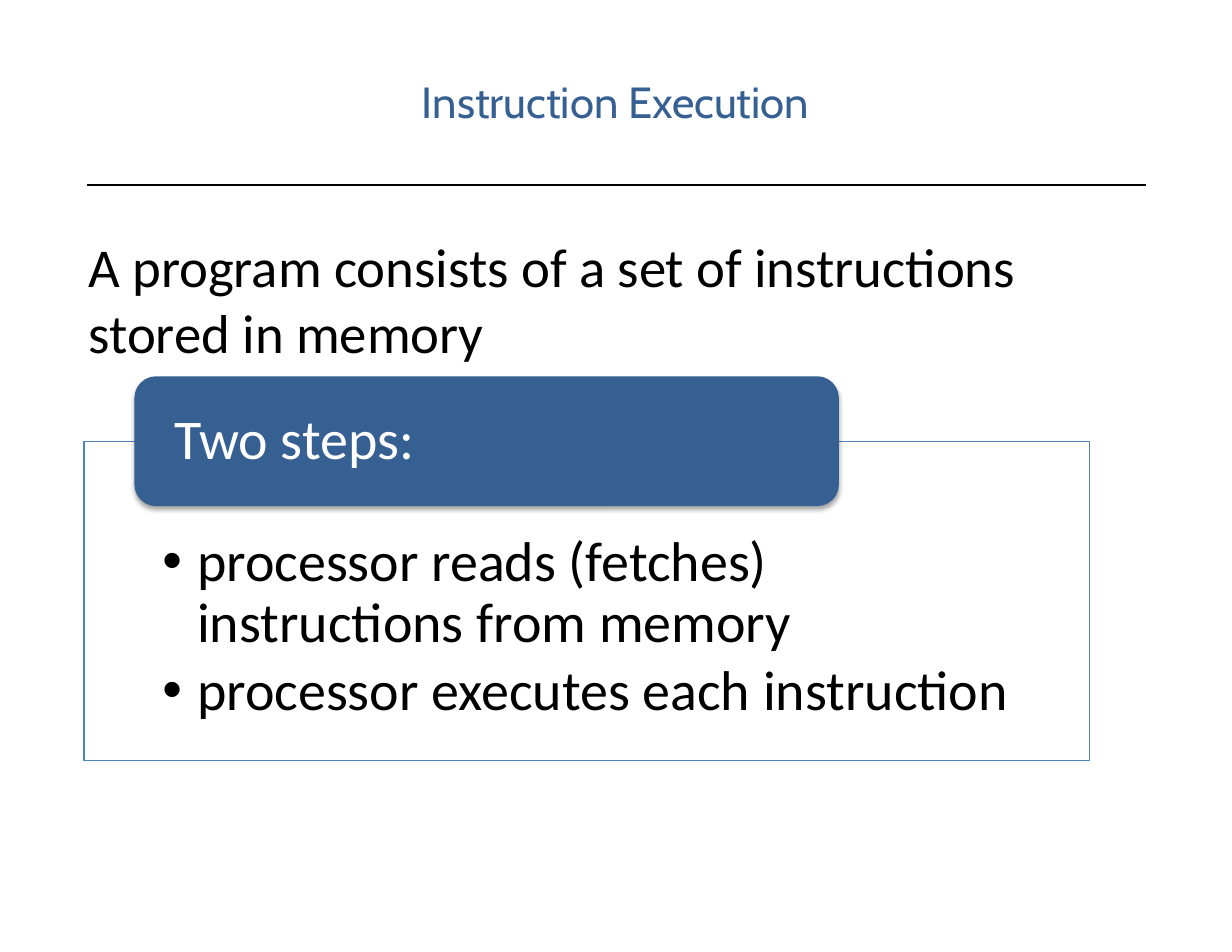
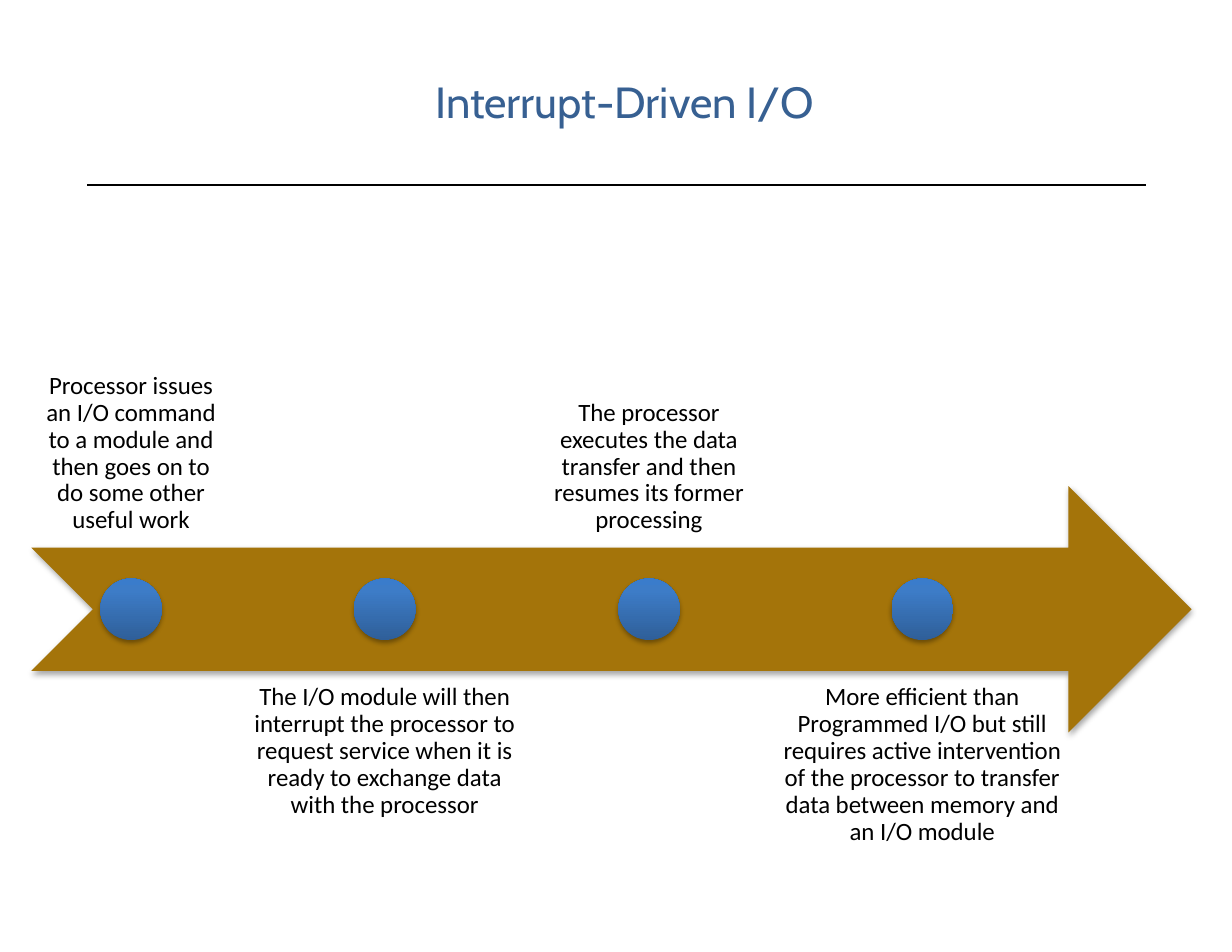
from pptx import Presentation
from pptx import util as u
from pptx.dml.color import RGBColor
from pptx.enum import shapes, text
from pptx.oxml import parse_xml
from pptx.oxml.ns import nsdecls, qn

PX = 9144  # 100 px to the inch
COLORS = {"navy": "376092", "blue": "4F81BD", "gold": "A4740A",
          "black": "000000", "white": "FFFFFF"}
DOT_STOPS = [(0, "2F5F99"), (80, "3D7CC7"), (100, "3A7CCB")]
HEAD, BODY = "Cabin", "Calibri"
ALIGN, ANCHOR, SHAPE = text.PP_ALIGN, text.MSO_ANCHOR, shapes.MSO_SHAPE

INTRO = "A program consists of a set of instructions stored in memory"
STEPS_LABEL = "Two steps:"
STEPS = ["processor reads (fetches) instructions from memory",
         "processor executes each instruction"]
STAGES = [  # width, text
    (178, "Processor issues an I/O command to a module and then goes on to "
          "do some other useful work"),
    (257, "The I/O module will then interrupt the processor to request service "
          "when it is ready to exchange data with the processor"),
    (197, "The processor executes the data transfer and then resumes its former "
          "processing"),
    (273, "More efficient than Programmed I/O but still requires active "
          "intervention of the processor to transfer data between memory and "
          "an I/O module"),
]
ARROW = (28, 434, 1036, 220)
STAGE_GAP, STAGE_SHIFT, DOT = 9, 165, 55


def px(*values):
    return [u.Emu(round(v * PX)) for v in values]


def rgb(name):
    return RGBColor.from_string(COLORS[name])


def write(sp, lines, size, color="black", font=BODY, insets=(0, 0, 0, 0),
          align=ALIGN.LEFT, anchor=ANCHOR.TOP, spacing=None, after=0):
    tf = sp.text_frame
    tf.text = "\n".join(lines)
    tf.word_wrap = True
    tf.vertical_anchor = anchor
    tf.margin_left, tf.margin_top, tf.margin_right, tf.margin_bottom = px(*insets)
    for p in tf.paragraphs:
        p.alignment = align
        p.line_spacing = spacing
        p.space_before, p.space_after = u.Pt(0), u.Pt(after)
        f = p.runs[0].font
        f.name, f.size, f.color.rgb = font, u.Pt(size), rgb(color)
    return tf


def add_bullets(tf, indent):
    for p in tf.paragraphs:
        pPr = p._p.get_or_add_pPr()
        pPr.set("marL", str(indent * PX))
        pPr.set("indent", str(-indent * PX))
        pPr.append(parse_xml(f'<a:buFont {nsdecls("a")} typeface="Arial"/>'))
        pPr.append(parse_xml(f'<a:buChar {nsdecls("a")} char="•"/>'))


def add_shape(s, kind, box, fill=None):
    sp = s.shapes.add_shape(kind, *px(*box))
    sp.shadow.inherit = False
    sp.line.fill.background()
    if fill:
        sp.fill.solid()
        sp.fill.fore_color.rgb = rgb(fill)
    return sp


def add_shadow(sp):
    effects = sp._element.spPr.find(qn("a:effectLst"))
    effects.append(parse_xml(
        f'<a:outerShdw {nsdecls("a")} blurRad="40000" dist="23000" dir="5400000" '
        'rotWithShape="0"><a:srgbClr val="000000"><a:alpha val="35000"/>'
        '</a:srgbClr></a:outerShdw>'))


def add_dot(s, box):
    sp = add_shape(s, SHAPE.OVAL, box)
    stops = "".join(f'<a:gs pos="{at * 1000}"><a:srgbClr val="{c}"/></a:gs>'
                    for at, c in DOT_STOPS)
    sp._element.spPr.find(qn("a:prstGeom")).addnext(parse_xml(
        f'<a:gradFill {nsdecls("a")} rotWithShape="1"><a:gsLst>{stops}</a:gsLst>'
        '<a:lin ang="16200000" scaled="0"/></a:gradFill>'))
    add_shadow(sp)


def new_slide(prs, title, title_width):
    """Add a slide with the shared title and the rule below it."""
    s = prs.slides.add_slide(prs.slide_layouts[5])
    t = s.shapes.title
    t.left, t.top, t.width, t.height = px(79, 67, title_width, 47)
    write(t, [title], 28, "navy", HEAD, align=ALIGN.CENTER)
    rule = s.shapes.add_connector(shapes.MSO_CONNECTOR.STRAIGHT,
                                  *px(78, 165, 1023, 165))
    rule.line.color.rgb = rgb("black")
    rule.line.width = u.Pt(1.2)
    rule._element.spPr.append(parse_xml(f'<a:effectLst {nsdecls("a")}/>'))
    return s


def execution_slide(prs):
    s = new_slide(prs, "Instruction Execution", 941)
    write(s.shapes.add_textbox(*px(79, 208, 944, 220)), [INTRO], 35.2)

    panel = add_shape(s, SHAPE.RECTANGLE, (75, 394, 898, 285), "white")
    fill_color = panel._element.spPr.find(qn("a:solidFill"))[0]
    fill_color.append(parse_xml(f'<a:alpha {nsdecls("a")} val="90000"/>'))
    panel.line.color.rgb = rgb("blue")
    panel.line.width = u.Pt(0.75)
    tf = write(panel, STEPS, 36, insets=(70, 82, 70, 28), spacing=0.9, after=5.4)
    add_bullets(tf, 31)

    label = add_shape(s, SHAPE.ROUNDED_RECTANGLE, (120, 336, 629, 116), "navy")
    add_shadow(label)
    write(label, [STEPS_LABEL], 36, "white", insets=(30, 0, 30, 0),
          anchor=ANCHOR.MIDDLE, spacing=0.9)


def interrupt_slide(prs):
    s = new_slide(prs, "Interrupt-Driven I/O", 957)
    add_shadow(add_shape(s, SHAPE.NOTCHED_RIGHT_ARROW, ARROW, "gold"))
    left, top, _, height = ARROW
    for i, (width, caption) in enumerate(STAGES):
        above = i % 2 == 0
        y = top - STAGE_SHIFT if above else top + STAGE_SHIFT
        write(s.shapes.add_textbox(*px(left, y, width, height)), [caption], 16,
              insets=(12, 12, 12, 12), align=ALIGN.CENTER, spacing=0.9,
              anchor=ANCHOR.BOTTOM if above else ANCHOR.TOP)
        add_dot(s, (left + (width - DOT) / 2, top + (height - DOT) / 2, DOT, DOT))
        left += width + STAGE_GAP


def main():
    prs = Presentation()
    prs.slide_width, prs.slide_height = px(1100, 850)
    execution_slide(prs)
    interrupt_slide(prs)
    prs.save("out.pptx")


if __name__ == "__main__":
    main()
